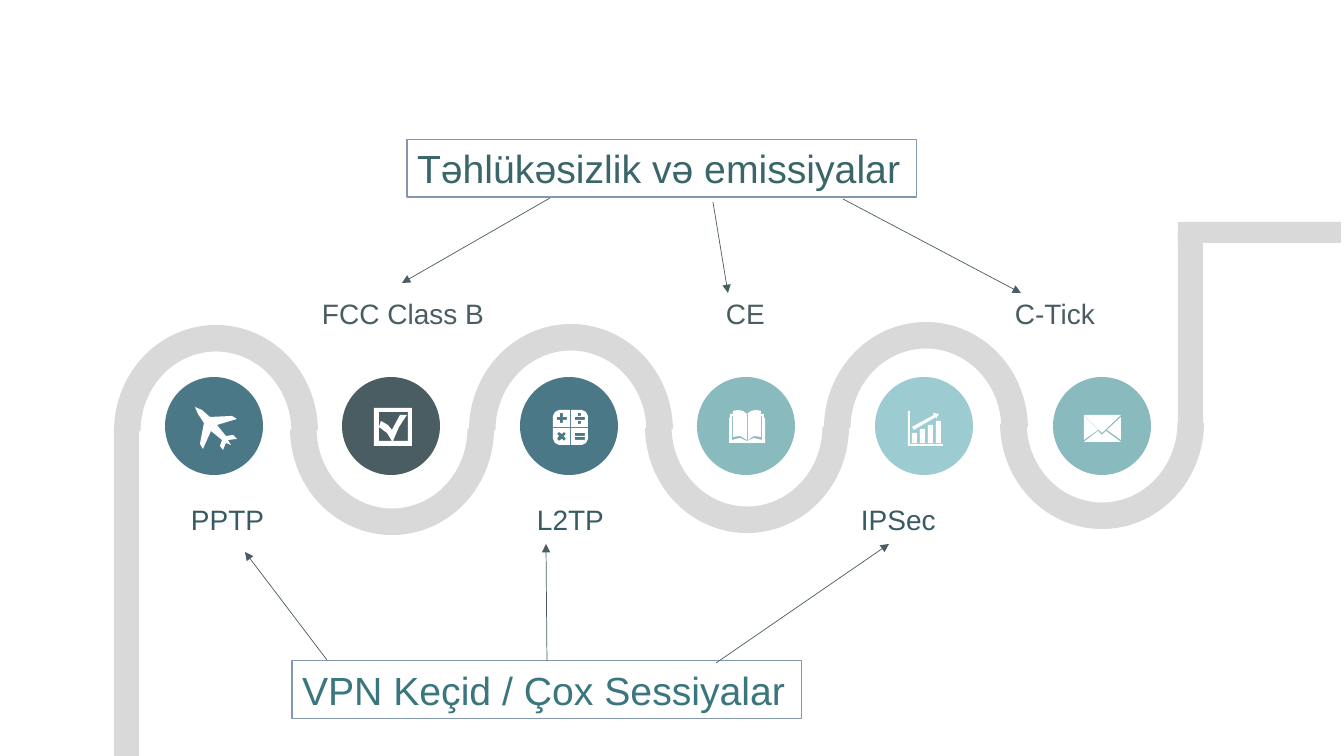
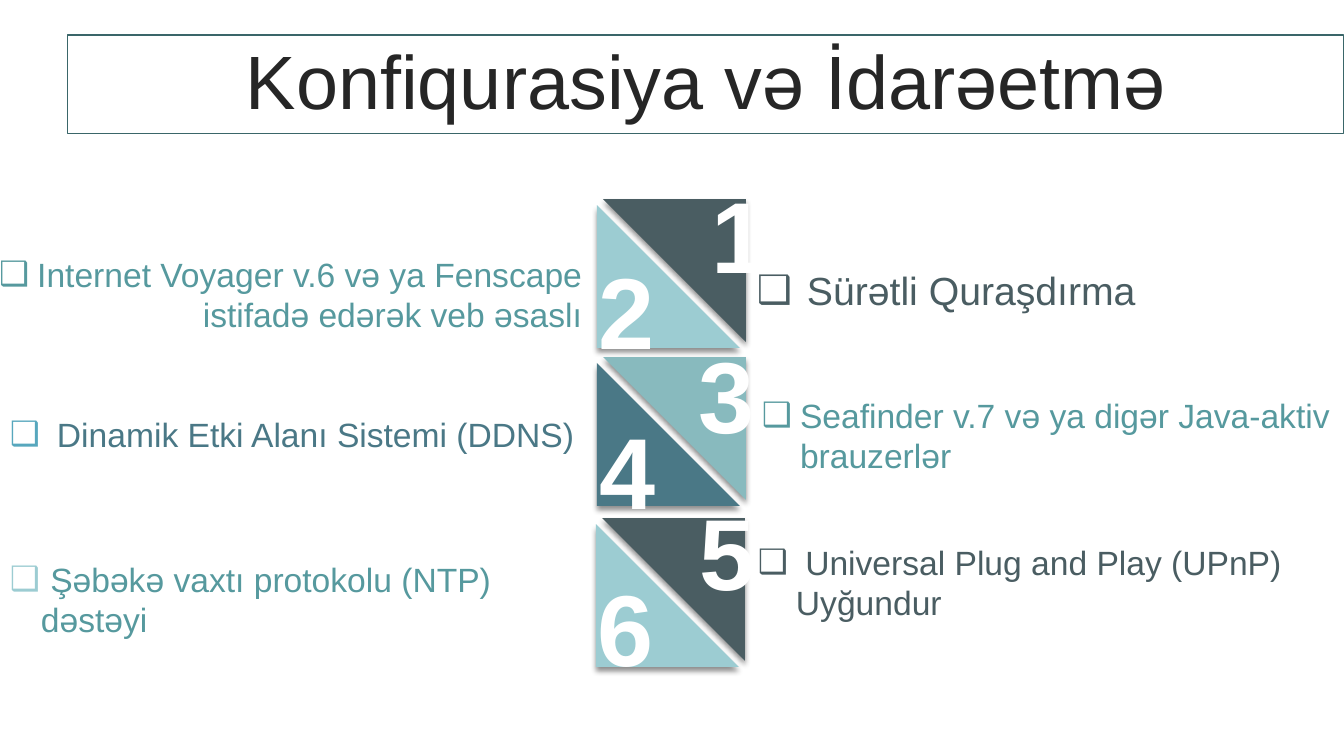
"""Build two slides: a winding road of security features and a numbered configuration list."""
from lxml.etree import SubElement
from pptx import Presentation
from pptx.dml.color import RGBColor
from pptx.enum.shapes import MSO_CONNECTOR, MSO_SHAPE
from pptx.enum.text import MSO_ANCHOR, MSO_AUTO_SIZE, PP_ALIGN
from pptx.oxml.ns import qn
from pptx.util import Pt

PX = 914400 / 100.8
FONT = "Arial"
WHITE = RGBColor(0xFF, 0xFF, 0xFF)
ROAD = RGBColor(0xD9, 0xD9, 0xD9)
SLATE = RGBColor(0x4A, 0x5D, 0x62)
STEEL = RGBColor(0x4A, 0x78, 0x86)
SAGE = RGBColor(0x88, 0xBA, 0xBE)
ICE = RGBColor(0x9C, 0xCC, 0xD2)
TEAL = RGBColor(0x56, 0x99, 0x9E)
SKY = RGBColor(0x57, 0xA7, 0xBD)
PINE = RGBColor(0x3A, 0x66, 0x69)
LAGOON = RGBColor(0x39, 0x76, 0x7E)
HARBOUR = RGBColor(0x38, 0x5A, 0x64)
FRAME_BLUE = RGBColor(0x84, 0x97, 0xB0)
INK = RGBColor(0x26, 0x26, 0x26)


def write(shape, area, text, size, color, bold=False, align=PP_ALIGN.LEFT,
          anchor=MSO_ANCHOR.TOP, margin=10, border=None):
    """Place a shape, fill in its text and return the paragraph."""
    for side, length in zip(("left", "top", "width", "height"), area):
        setattr(shape, side, round(length * PX))
    if border is not None:
        shape.line.color.rgb = border
        shape.line.width = Pt(0.75)
    frame = shape.text_frame
    frame_format = {
        "word_wrap": True, "auto_size": MSO_AUTO_SIZE.NONE, "vertical_anchor": anchor,
        "margin_left": round(margin * PX), "margin_right": round(margin * PX),
        "margin_top": round(5 * PX), "margin_bottom": round(5 * PX),
    }
    for name, value in frame_format.items():
        setattr(frame, name, value)
    paragraph = frame.paragraphs[0]
    paragraph.alignment = align
    run = paragraph.add_run()
    run.text = text
    for name, value in {"name": FONT, "size": Pt(size), "bold": bold}.items():
        setattr(run.font, name, value)
    run.font.color.rgb = color
    return paragraph


def box(left, top, right, bottom):
    """Return the corners of a rectangular outline."""
    return [(left, top), (right, top), (right, bottom), (left, bottom)]


deck = Presentation()
deck.slide_width = round(1344 * PX)
deck.slide_height = round(756 * PX)
title_only = deck.slide_layouts[5]

features = deck.slides.add_slide(title_only)

road_parts = [(MSO_SHAPE.BLOCK_ARC, 114 + 355 * (i // 2) + 176 * (i % 2), top, 204, 213, 180 * (i % 2))
              for i, top in enumerate((325, 322, 324, 320, 322, 316))]
road_parts += [
    (MSO_SHAPE.RECTANGLE, 114, 428, 25, 328, 0),
    (MSO_SHAPE.RECTANGLE, 1178, 233, 25, 201, 0),
    (MSO_SHAPE.RECTANGLE, 1178, 222, 163, 21, 0),
]
stops = [(MSO_SHAPE.OVAL, 165 + 888 * i // 5, 377, 98, 98, 0)
         for i in range(6)]
stop_colors = [STEEL, SLATE, STEEL, SAGE, ICE, SAGE]
for (preset, *area, turn), color in zip(road_parts + stops, [ROAD] * len(road_parts) + stop_colors):
    part = features.shapes.add_shape(preset, *(round(length * PX) for length in area))
    if preset == MSO_SHAPE.BLOCK_ARC:
        for i, value in enumerate((108, 215.59, 0.13)):
            part.adjustments[i] = value
    part.rotation = turn
    part.shadow.inherit = False
    part.fill.solid()
    part.fill.fore_color.rgb = color
    part.line.fill.background()

plane = [[(42, 32), (33, 33), (36, 38), (31, 36), (28, 43), (25, 39), (27, 33), (16, 24), (8, 42),
          (5, 37), (9, 16), (3, 7), (0, 0), (7, 3), (15, 10), (37, 9), (42, 12), (22, 18),
          (31, 29), (38, 28)]]
checkbox = [
    box(0, 0, 38, 38),
    [(5, 4), (5, 33), (18, 33), (13, 25), (5, 19), (7, 13), (14, 17), (18, 22), (26, 7),
     (33, 7), (25, 19), (19, 33), (34, 33), (34, 4)],
]
calculator = [
    [(0, 6), (2, 2), (6, 0), (17, 0), (17, 17), (0, 17)],
    [(18, 0), (29, 0), (33, 2), (35, 6), (35, 17), (18, 17)],
    [(18, 18), (35, 18), (35, 29), (33, 33), (29, 35), (18, 35)],
    [(0, 18), (17, 18), (17, 35), (6, 35), (2, 33), (0, 29)],
    [(7, 3), (7, 7), (4, 7), (4, 10), (7, 10), (7, 13), (10, 13), (10, 10), (14, 10), (14, 7),
     (10, 7), (10, 3)],
    [(6, 22), (4, 24), (6, 26), (4, 29), (6, 31), (9, 29), (11, 31), (13, 29), (11, 26),
     (13, 24), (11, 22), (9, 24)],
    box(25, 3, 28, 6), box(22, 7, 32, 10), box(25, 11, 28, 14),
    box(22, 23, 32, 26), box(22, 27, 32, 30),
]
book = [
    [(0, 8), (1, 8), (1, 4), (4, 4), (4, 1), (9, 0), (14, 1), (18, 4), (22, 1), (27, 0), (32, 1),
     (32, 4), (35, 4), (35, 8), (36, 8), (36, 33), (0, 33)],
    [(3, 6), (3, 30), (11, 28), (18, 31), (25, 28), (33, 30), (33, 6), (32, 6), (32, 27),
     (25, 26), (19, 30), (19, 4), (18, 4), (18, 30), (11, 26), (4, 27), (4, 6)],
]
growth = [box(4 + 8 * i, 22 - 4 * i, 9 + 8 * i, 32) for i in range(4)] + [
    [(25, 2), (31, 3), (28, 8), (28, 6), (6, 19), (4, 16), (26, 4)],
    [(0, 0), (2, 0), (2, 33), (35, 33), (35, 35), (0, 35)],
]
envelope = [
    [(22, 16), (37, 27), (0, 27), (14, 16), (18, 20)],
    [(37, 2), (37, 25), (23, 15)],
    [(0, 1), (14, 15), (0, 25)],
    [(0, 0), (37, 0), (18, 18)],
]
icons = [(195, 407, plane), (374, 408, checkbox), (553, 410, calculator),
         (729, 410, book), (908, 411, growth), (1084, 415, envelope)]
for left, top, outlines in icons:
    builder = features.shapes.build_freeform(*outlines[0][0], scale=PX)
    for outline in outlines:
        builder.move_to(*outline[0])
        builder.add_line_segments(outline[1:], close=True)
    icon = builder.convert_to_shape(round(left * PX), round(top * PX))
    icon.shadow.inherit = False
    icon.fill.solid()
    icon.fill.fore_color.rgb = WHITE
    icon.line.fill.background()

write(features.shapes.title, (407, 139, 510, 58), "Təhlükəsizlik və emissiyalar", 28, PINE,
      border=FRAME_BLUE)
write(features.shapes.add_textbox(0, 0, 0, 0), (292, 661, 510, 58), "VPN Keçid / Çox Sessiyalar",
      28, LAGOON, border=FRAME_BLUE)

labels = [
    (312, 291, "FCC Class B", SLATE), (716, 291, "CE", SLATE), (1005, 291, "C-Tick", SLATE),
    (181, 497, "PPTP", HARBOUR), (527, 497, "L2TP", HARBOUR), (851, 497, "IPSec", HARBOUR),
]
for left, top, label, color in labels:
    write(features.shapes.add_textbox(0, 0, 0, 0), (left, top, 190, 44), label, 20, color)

arrows = [
    (327, 660, 245, 552), (547, 661, 546, 544), (716, 663, 889, 544),
    (713, 202, 728, 293), (550, 198, 402, 283), (843, 199, 1021, 293),
]
for ends in arrows:
    arrow = features.shapes.add_connector(MSO_CONNECTOR.STRAIGHT, *(round(end * PX) for end in ends))
    arrow.line.color.rgb = SLATE
    arrow.line.width = Pt(0.5)
    SubElement(arrow.line._get_or_add_ln(), qn("a:tailEnd"), type="triangle")
    SubElement(arrow._element.spPr, qn("a:effectLst"))

settings = deck.slides.add_slide(title_only)
heading = write(settings.shapes.title, (68, 35, 1276, 99), "Konfiqurasiya və İdarəetmə", 54, INK,
                align=PP_ALIGN.CENTER, anchor=MSO_ANCHOR.MIDDLE, border=PINE)
heading.line_spacing = 0.9

tiles = [(597, 205, ICE, SLATE), (597, 363, STEEL, SAGE), (596, 524, ICE, SLATE)]
for left, top, lower_color, upper_color in tiles:
    for shift, turn, color in ((0, 0, lower_color), (6, 180, upper_color)):
        half = settings.shapes.add_shape(
            MSO_SHAPE.RIGHT_TRIANGLE, round((left + shift) * PX), round((top - shift) * PX),
            round(143 * PX), round(143 * PX))
        half.rotation = turn
        half.fill.solid()
        half.fill.fore_color.rgb = color
        half.line.fill.background()
        half.shadow.inherit = False
        shadow = SubElement(half._element.spPr.find(qn("a:effectLst")), qn("a:outerShdw"),
                            blurRad=str(Pt(4)), dist=str(Pt(3)), dir="5400000", rotWithShape="0")
        black = SubElement(shadow, qn("a:srgbClr"), val="000000")
        SubElement(black, qn("a:alpha"), val="43000")

digit_corners = [(700, 168), (587, 244), (687, 328), (588, 404), (688, 485), (586, 561)]
for number, corner in enumerate(digit_corners, 1):
    write(settings.shapes.add_textbox(0, 0, 0, 0), (*corner, 67, 132), str(number), 72, WHITE,
          bold=True, align=PP_ALIGN.CENTER, margin=12)

items = [
    ((747, 261, 415, 57), "Sürətli Quraşdırma", 28, SLATE, SLATE, 50, PP_ALIGN.LEFT),
    ((-25, 249, 617, 92), "Internet Voyager v.6 və ya Fenscape istifadə edərək veb əsaslı",
     24, TEAL, TEAL, 38, PP_ALIGN.RIGHT),
    ((752, 390, 592, 92), "Seafinder v.7 və ya digər Java-aktiv brauzerlər",
     24, TEAL, TEAL, 38, PP_ALIGN.LEFT),
    ((0, 409, 591, 50), "Dinamik Etki Alanı Sistemi (DDNS)", 24, STEEL, SKY, 47, PP_ALIGN.LEFT),
    ((748, 537, 596, 92), " Universal Plug and Play (UPnP) Uyğundur",
     24, SLATE, SLATE, 38, PP_ALIGN.LEFT),
    ((0, 554, 564, 92), " Şəbəkə vaxtı protokolu (NTP) dəstəyi", 24, TEAL, ICE, 31, PP_ALIGN.LEFT),
]
for area, item, size, color, bullet_color, indent, align in items:
    paragraph = write(settings.shapes.add_textbox(0, 0, 0, 0), area, item, size, color, align=align)
    properties = paragraph._p.get_or_add_pPr()
    properties.set("marL", str(round(indent * PX)))
    properties.set("indent", str(-round(indent * PX)))
    SubElement(SubElement(properties, qn("a:buClr")), qn("a:srgbClr"), val=str(bullet_color))
    SubElement(properties, qn("a:buFont"), typeface=FONT)
    SubElement(properties, qn("a:buChar"), char="❑")

deck.save("out.pptx")
